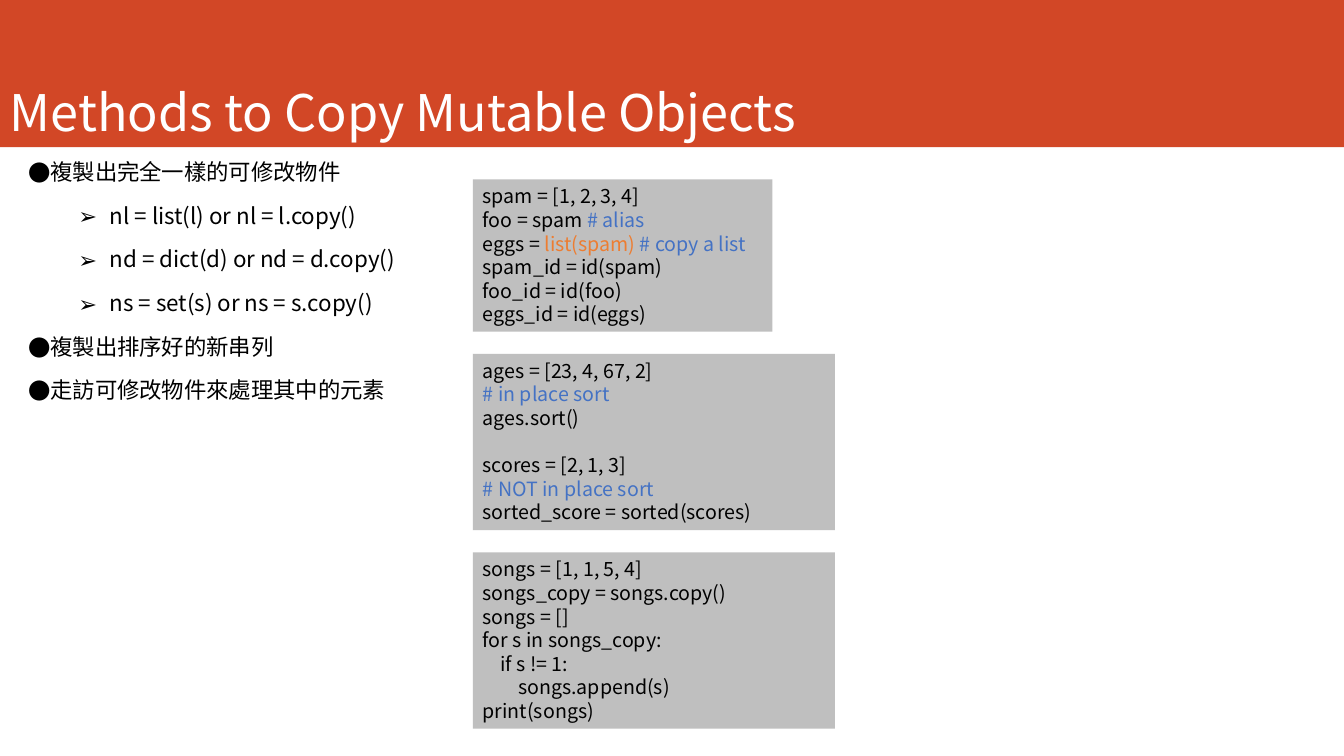
from lxml.etree import SubElement
from pptx import Presentation
from pptx.dml.color import RGBColor
from pptx.enum.shapes import MSO_SHAPE
from pptx.enum.text import MSO_ANCHOR, MSO_AUTO_SIZE, PP_ALIGN
from pptx.oxml.ns import qn
from pptx.util import Inches, Pt

FONT = "Noto Sans CJK TC"
COLORS = {"banner": "D24726", "title": "FFFFFF", "text": "000000",
          "panel": "BFBFBF", "comment": "4472C4", "accent": "ED7D31"}

# Content
TITLE = "Methods to Copy Mutable Objects"
BULLETS = [  # (level, text)
    (0, "複製出完全一樣的可修改物件"),
    (1, "nl = list(l) or nl = l.copy()"),
    (1, "nd = dict(d) or nd = d.copy()"),
    (1, "ns = set(s) or ns = s.copy()"),
    (0, "複製出排序好的新串列"),
    (0, "走訪可修改物件來處理其中的元素"),
]
BULLET_STYLES = [("●", 0.18, 0.18), ("➢", 0.81, 0.31)]  # mark, margin, hanging

# Each line: (depth, blank lines above, runs of (text, colour))
def code(text, color="text", depth=0, gap=0):
    return depth, gap, [(text, color)]


CODE_PANELS = [  # (width, lines)
    (2.97, [
        code("spam = [1, 2, 3, 4]"),
        (0, 0, [("foo = spam ", "text"), ("# alias", "comment")]),
        (0, 0, [("eggs = ", "text"), ("list(spam) ", "accent"),
                ("# copy a list", "comment")]),
        code("spam_id = id(spam)"),
        code("foo_id = id(foo)"),
        code("eggs_id = id(eggs)"),
    ]),
    (3.59, [
        code("ages = [23, 4, 67, 2]"),
        code("# in place sort", "comment"),
        code("ages.sort()"),
        code("scores = [2, 1, 3]", gap=1),
        code("# NOT in place sort", "comment"),
        code("sorted_score = sorted(scores)"),
    ]),
    (3.59, [
        code("songs = [1, 1, 5, 4]"),
        code("songs_copy = songs.copy()"),
        code("songs = []"),
        code("for s in songs_copy:"),
        code("if s != 1:", depth=1),
        code("songs.append(s)", depth=2),
        code("print(songs)"),
    ]),
]
PANEL_LEFT, PANEL_TOP, PANEL_GAP = 4.69, 1.78, 0.22
LINE_HEIGHT, PANEL_PADDING, CODE_INDENT = 0.24, 0.07, 0.175


def add_rectangle(slide, box, color):
    shape = slide.shapes.add_shape(MSO_SHAPE.RECTANGLE, *map(Inches, box))
    shape.shadow.inherit = False
    shape.fill.solid()
    shape.fill.fore_color.rgb = RGBColor.from_string(COLORS[color])
    shape.line.fill.background()
    return shape


def set_frame(shape, **settings):
    for name, value in {"word_wrap": True, **settings}.items():
        setattr(shape.text_frame, name, value)
    return shape.text_frame


def add_paragraph(frame, index, runs, size, **settings):
    paragraph = frame.add_paragraph() if index else frame.paragraphs[0]
    for name, value in {"alignment": PP_ALIGN.LEFT, **settings}.items():
        setattr(paragraph, name, value)
    for text, color in runs:
        run = paragraph.add_run()
        run.text = text
        for name, value in {"name": FONT, "size": Pt(size)}.items():
            setattr(run.font, name, value)
        run.font.color.rgb = RGBColor.from_string(COLORS[color])
        SubElement(run.font._element, qn("a:ea"), typeface=FONT)
    return paragraph


def set_indent(paragraph, margin, hanging=0):
    properties = paragraph._p.get_or_add_pPr()
    properties.set("marL", str(Inches(margin)))
    properties.set("indent", str(-Inches(hanging)))
    return properties


def main():
    presentation = Presentation()
    presentation.slide_width = Inches(13.33)
    presentation.slide_height = Inches(7.5)
    slide = presentation.slides.add_slide(presentation.slide_layouts[6])

    # Banner and title
    add_rectangle(slide, (0, 0, 13.33, 1.46), "banner")
    title = slide.shapes.add_textbox(*map(Inches, (0, 0.13, 11.76, 1.32)))
    frame = set_frame(title, vertical_anchor=MSO_ANCHOR.BOTTOM)
    add_paragraph(frame, 0, [(TITLE, "title")], 36)

    # Bullet list
    bullets = slide.shapes.add_textbox(*map(Inches, (0.18, 1.52, 4.25, 2.56)))
    frame = set_frame(bullets, auto_size=MSO_AUTO_SIZE.SHAPE_TO_FIT_TEXT)
    for index, (level, text) in enumerate(BULLETS):
        paragraph = add_paragraph(frame, index, [(text, "text")], 16, level=level,
                                  space_before=Pt(6), space_after=Pt(6))
        mark, margin, hanging = BULLET_STYLES[level]
        properties = set_indent(paragraph, margin, hanging)
        SubElement(properties, qn("a:buFont"), typeface=FONT)
        SubElement(properties, qn("a:buChar"), char=mark)

    # Code panels, stacked with equal gaps
    top = PANEL_TOP
    for width, lines in CODE_PANELS:
        line_count = len(lines) + sum(gap for _, gap, _ in lines)
        height = line_count * LINE_HEIGHT + PANEL_PADDING
        panel = add_rectangle(slide, (PANEL_LEFT, top, width, height), "panel")
        frame = set_frame(panel, auto_size=MSO_AUTO_SIZE.SHAPE_TO_FIT_TEXT,
                          vertical_anchor=MSO_ANCHOR.TOP)
        for index, (depth, gap, runs) in enumerate(lines):
            paragraph = add_paragraph(frame, index, runs, 14,
                                      space_before=Pt(gap * 16.9))
            set_indent(paragraph, depth * CODE_INDENT)
        top += height + PANEL_GAP

    presentation.save("out.pptx")


if __name__ == "__main__":
    main()
